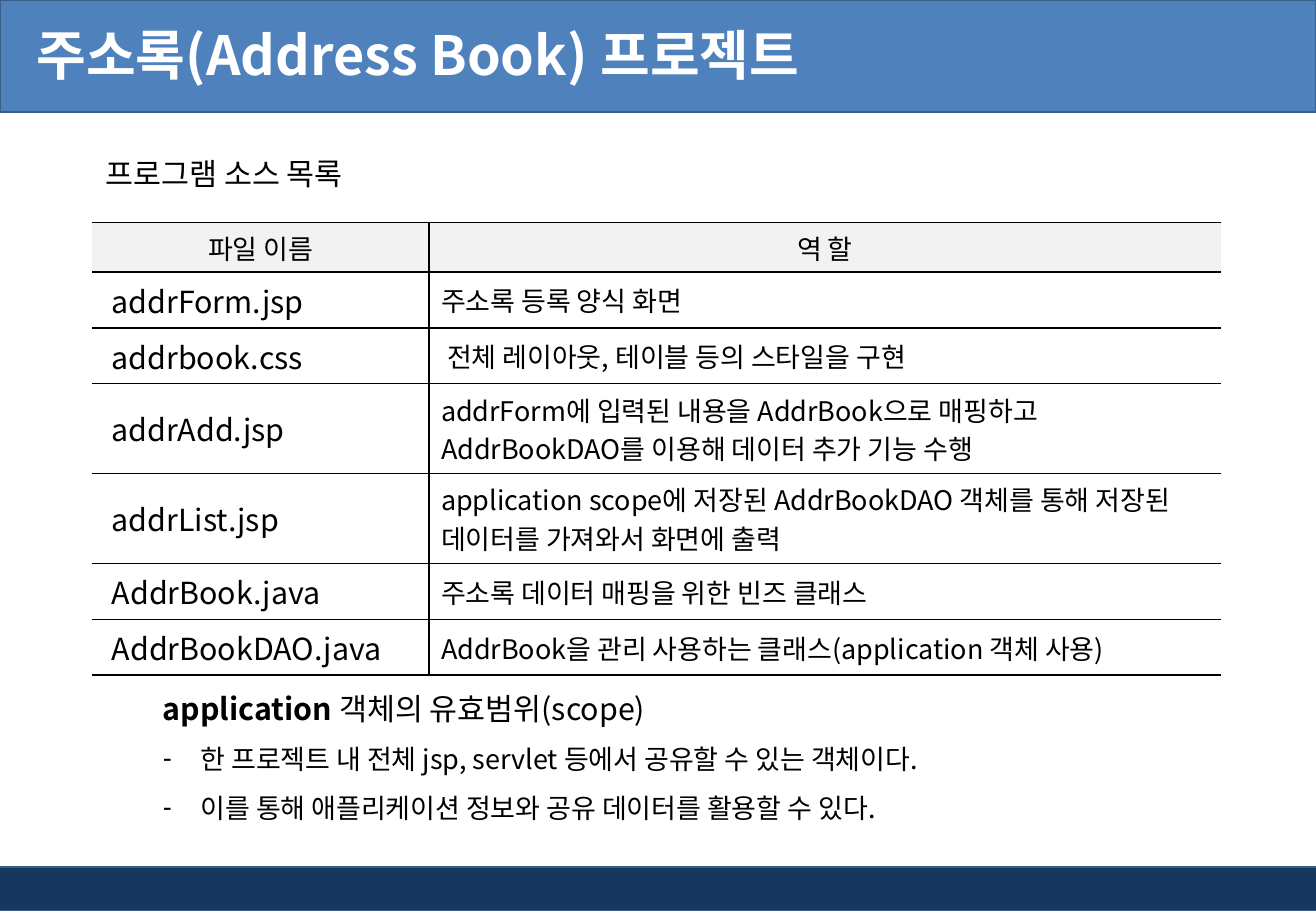
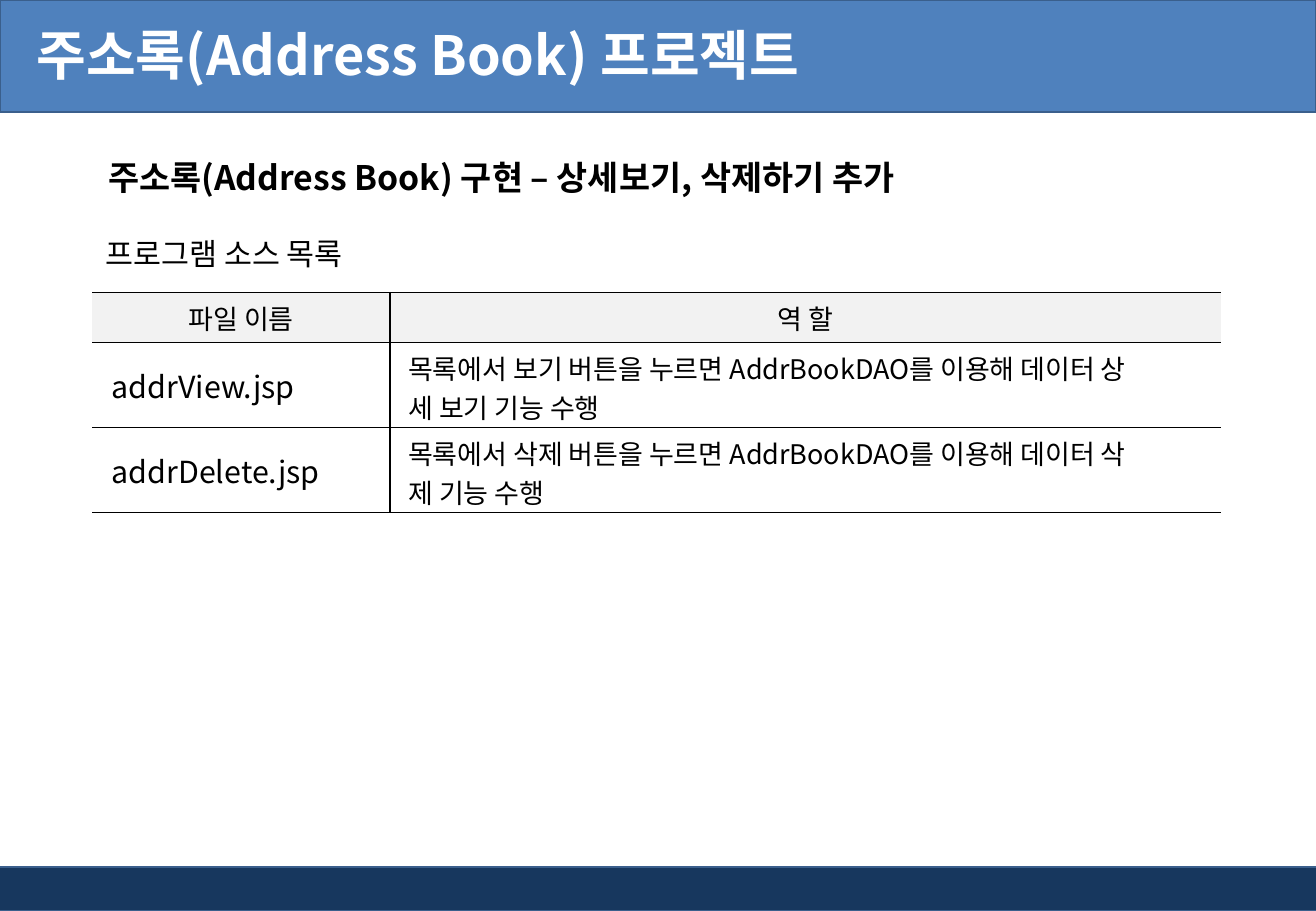
"""Build two slides that list the source files of an address book project."""
import dataclasses

import lxml.etree
import pptx
import pptx.dml.color
import pptx.enum.shapes
import pptx.enum.text
import pptx.oxml
import pptx.oxml.ns
import pptx.util

Inches = pptx.util.Inches
qn = pptx.oxml.ns.qn


@dataclasses.dataclass(frozen=True)
class Theme:
    font: str = "Noto Sans CJK KR"
    header_band: str = "4F81BD"
    footer_band: str = "17375E"
    band_line: str = "3A5F8C"
    table_header: str = "F2F2F2"
    ink: str = "000000"
    white: str = "FFFFFF"
    title_size: int = 32
    heading_size: int = 20
    label_size: int = 18
    text_size: int = 16
    line_width: int = 1
    line_spacing: float = 1.5


THEME = Theme()
SLIDE_SIZE = (10.83, 7.5)
BANDS = [
    ((-0.04, 7.14, 10.88, 0.36), THEME.footer_band),
    ((0, 0, 10.83, 0.92), THEME.header_band),
]
TITLE = "주소록(Address Book) 프로젝트"
TITLE_BOX = (0, -0.03, 8.74, 0.94)
LABEL = "프로그램 소스 목록"
TABLE_LEFT, TABLE_WIDTH = 0.76, 9.29
TABLE_HEADER = ("파일 이름", "역 할")
NO_GRID_STYLE = "{2D5ABB26-0587-4C30-8999-92F81FD0307C}"

SLIDES = [
    {
        "body_box": (1.24, 5.48, 7.72, 1.31),
        "body": [
            (False, THEME.label_size, [("application ", True), ("객체의 유효범위(scope)", False)]),
            (True, THEME.text_size,
             [("한 프로젝트 내 전체 jsp, servlet 등에서 공유할 수 있는 객체이다.", False)]),
            (True, THEME.text_size,
             [("이를 통해 애플리케이션 정보와 공유 데이터를 활용할 수 있다.", False)]),
        ],
        "label_top": 1.23,
        "table_top": 1.83,
        "name_width": 2.77,
        "role_margin": 0.1,
        "row_heights": [0.41, 0.46, 0.46, 0.74, 0.74, 0.46, 0.46],
        "files": [
            ("addrForm.jsp", "주소록 등록 양식 화면"),
            ("addrbook.css", " 전체 레이아웃, 테이블 등의 스타일을 구현"),
            ("addrAdd.jsp", "addrForm에 입력된 내용을 AddrBook으로 매핑하고 "
                            "AddrBookDAO를 이용해 데이터 추가 기능 수행"),
            ("addrList.jsp", "application scope에 저장된 AddrBookDAO 객체를 통해 저장된 "
                             "데이터를 가져와서 화면에 출력"),
            ("AddrBook.java", "주소록 데이터 매핑을 위한 빈즈 클래스"),
            ("AddrBookDAO.java", "AddrBook을 관리 사용하는 클래스(application 객체 사용)"),
        ],
    },
    {
        "body_box": (0.79, 1.07, 9.53, 0.61),
        "body": [
            (False, THEME.heading_size,
             [("주소록(Address Book) 구현 – 상세보기, 삭제하기 추가", True)]),
        ],
        "label_top": 1.89,
        "table_top": 2.41,
        "name_width": 2.45,
        "role_margin": 0.15,
        "row_heights": [0.41, 0.7, 0.7],
        "files": [
            ("addrView.jsp",
             "목록에서 보기 버튼을 누르면 AddrBookDAO를 이용해 데이터 상\n세 보기 기능 수행"),
            ("addrDelete.jsp",
             "목록에서 삭제 버튼을 누르면 AddrBookDAO를 이용해 데이터 삭\n제 기능 수행"),
        ],
    },
]


def color(value):
    return pptx.dml.color.RGBColor.from_string(value)


def place(shape, box):
    shape.left, shape.top, shape.width, shape.height = map(Inches, box)


def add_run(paragraph, text, size, bold=False, ink=THEME.ink):
    run = paragraph.add_run()
    run.text = text
    run.font.size = pptx.util.Pt(size)
    run.font.bold = bold
    run.font.color.rgb = color(ink)
    run.font.name = THEME.font
    properties = run.font._element
    lxml.etree.SubElement(properties, qn("a:ea"), typeface=THEME.font)


def nth_paragraph(frame, index):
    return frame.add_paragraph() if index else frame.paragraphs[0]


def add_bands(slide, layout):
    for box, fill in BANDS:
        band = slide.shapes.add_shape(
            pptx.enum.shapes.MSO_SHAPE.RECTANGLE, *map(Inches, box))
        band.shadow.inherit = False
        band.fill.solid()
        band.fill.fore_color.rgb = color(fill)
        band.line.color.rgb = color(THEME.band_line)
        band.line.width = pptx.util.Pt(THEME.line_width)
        layout.shapes.element.insert(2, band.element)


def fill_title(title):
    place(title, TITLE_BOX)
    frame = title.text_frame
    frame.auto_size = pptx.enum.text.MSO_AUTO_SIZE.NONE
    frame.vertical_anchor = pptx.enum.text.MSO_ANCHOR.MIDDLE
    frame.margin_left = Inches(0.3)
    frame.paragraphs[0].alignment = pptx.enum.text.PP_ALIGN.LEFT
    add_run(frame.paragraphs[0], TITLE, THEME.title_size, True, THEME.white)


def fill_body(body, box, lines):
    place(body, box)
    frame = body.text_frame
    frame.auto_size = pptx.enum.text.MSO_AUTO_SIZE.NONE
    for index, (bulleted, size, runs) in enumerate(lines):
        paragraph = nth_paragraph(frame, index)
        paragraph.line_spacing = THEME.line_spacing
        paragraph.space_before = pptx.util.Pt(0)
        indent = Inches(0.31) if bulleted else 0
        properties = paragraph._p.get_or_add_pPr()
        properties.set("marL", str(indent))
        properties.set("indent", str(-indent))
        if bulleted:
            lxml.etree.SubElement(properties, qn("a:buChar"), char="-")
        else:
            lxml.etree.SubElement(properties, qn("a:buNone"))
        for text, bold in runs:
            add_run(paragraph, text, size, bold)


def add_label(slide, top):
    label = slide.shapes.add_textbox(*map(Inches, (0.77, top, 3.39, 0.4)))
    label.text_frame.word_wrap = True
    add_run(label.text_frame.paragraphs[0], LABEL, THEME.label_size)


def set_borders(cell, sides):
    properties = cell._tc.get_or_add_tcPr()
    for index, side in enumerate(sides):
        line = lxml.etree.Element(
            qn(f"a:ln{side}"), w=str(pptx.util.Pt(THEME.line_width)))
        fill = lxml.etree.SubElement(line, qn("a:solidFill"))
        lxml.etree.SubElement(fill, qn("a:srgbClr"), val=THEME.ink)
        properties.insert(index, line)


def fill_cell(cell, text, size, is_header, margin):
    cell.vertical_anchor = pptx.enum.text.MSO_ANCHOR.MIDDLE
    if is_header:
        cell.fill.solid()
        cell.fill.fore_color.rgb = color(THEME.table_header)
    else:
        cell.fill.background()
        cell.margin_left = Inches(margin)
    for index, line in enumerate(text.split("\n")):
        paragraph = nth_paragraph(cell.text_frame, index)
        if is_header:
            paragraph.alignment = pptx.enum.text.PP_ALIGN.CENTER
        add_run(paragraph, line, size)


def add_file_table(slide, content):
    rows = [TABLE_HEADER, *content["files"]]
    heights = content["row_heights"]
    frame = slide.shapes.add_table(len(rows), 2, *map(
        Inches, (TABLE_LEFT, content["table_top"], TABLE_WIDTH, sum(heights))))
    table = frame.table
    table.first_row = table.horz_banding = False
    table._tbl.tblPr.find(qn("a:tableStyleId")).text = NO_GRID_STYLE
    name_width = content["name_width"]
    for column, width in zip(table.columns, (name_width, TABLE_WIDTH - name_width)):
        column.width = Inches(width)
    columns = [
        (THEME.label_size, 0.16, "RTB"),
        (THEME.text_size, content["role_margin"], "LTB"),
    ]
    for row_index, (row, height) in enumerate(zip(rows, heights)):
        table.rows[row_index].height = Inches(height)
        is_header = row_index == 0
        for column_index, (size, margin, sides) in enumerate(columns):
            cell = table.cell(row_index, column_index)
            text_size = THEME.text_size if is_header else size
            fill_cell(cell, row[column_index], text_size, is_header, margin)
            set_borders(cell, sides)


def main():
    presentation = pptx.Presentation()
    presentation.slide_width, presentation.slide_height = map(Inches, SLIDE_SIZE)
    layout = presentation.slide_layouts.get_by_name("Title and Content")
    for index, content in enumerate(SLIDES):
        slide = presentation.slides.add_slide(layout)
        if index == 0:
            add_bands(slide, layout)
        fill_title(slide.shapes.title)
        fill_body(slide.placeholders[1], content["body_box"], content["body"])
        add_label(slide, content["label_top"])
        add_file_table(slide, content)
    presentation.save("out.pptx")


if __name__ == "__main__":
    main()
